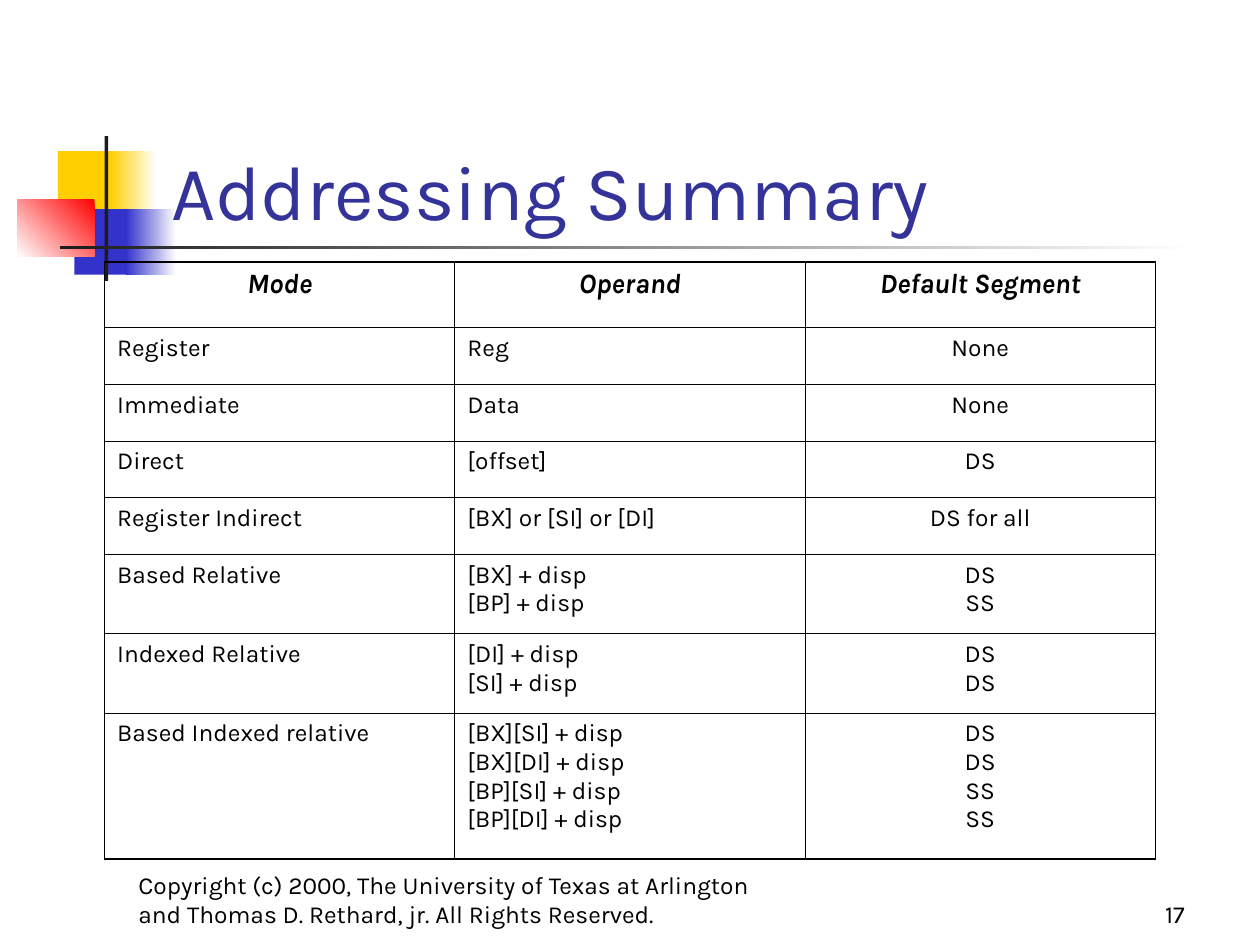
import pptx
import pptx.dml.color
import pptx.enum.shapes
import pptx.enum.text
import pptx.oxml
import pptx.oxml.ns
import pptx.util
from pptx.util import Inches, Pt

RGBColor = pptx.dml.color.RGBColor
PP_ALIGN = pptx.enum.text.PP_ALIGN
MSO_ANCHOR = pptx.enum.text.MSO_ANCHOR

WHITE = RGBColor(0xFF, 0xFF, 0xFF)
BLACK = RGBColor(0, 0, 0)
YELLOW = RGBColor(0xFF, 0xCF, 0x01)
BLUE = RGBColor(0x33, 0x33, 0xCC)
RED = RGBColor(0xFF, 0, 0)
CHARCOAL = RGBColor(0x1C, 0x1C, 0x1C)
TITLE_BLUE = RGBColor(0x33, 0x33, 0x99)
FONT = "Karla"
THIN, THICK = 0.45, 1.08

# left, top, width, height, colours (two make a gradient), counter-clockwise angle
ORNAMENTS = [
    (0.46, 1.2, 0.48, 0.52, [YELLOW], None),
    (0.88, 1.2, 0.36, 0.52, [WHITE, YELLOW], 180),
    (0.59, 1.66, 0.46, 0.52, [BLUE], None),
    (1, 1.66, 0.4, 0.52, [WHITE, BLUE], 180),
    (0.14, 1.58, 0.61, 0.46, [RED, WHITE], 225),
    (0.83, 1.08, 0.03, 1.15, [CHARCOAL], None),
    (0.48, 1.95, 9, 0.03, [WHITE, CHARCOAL], 180),
]

TITLE = "Addressing Summary"
COPYRIGHT = ("Copyright (c) 2000, The University of Texas at Arlington "
             "and Thomas D. Rethard, jr. All Rights Reserved.")
PAGE_NUMBER = "17"

# mode, operand lines, default segment lines
MODES = [
    ("Mode", ["Operand"], ["Default Segment"]),
    ("Register", ["Reg"], ["None"]),
    ("Immediate", ["Data"], ["None"]),
    ("Direct", ["[offset]"], ["DS"]),
    ("Register Indirect", ["[BX] or [SI] or [DI]"], ["DS for all"]),
    ("Based Relative", ["[BX] + disp", "[BP] + disp"], ["DS", "SS"]),
    ("Indexed Relative", ["[DI] + disp", "[SI] + disp"], ["DS", "DS"]),
    ("Based Indexed relative",
     ["[BX][SI] + disp", "[BX][DI] + disp", "[BP][SI] + disp", "[BP][DI] + disp"],
     ["DS", "DS", "SS", "SS"]),
]
HEADER_HEIGHT = 0.52
HEIGHT_BY_LINES = {1: 0.45, 2: 0.63, 4: 1.16}
COLUMN_WIDTH = 2.78


def style_text(frame, size, color, align):
    paragraph = frame.paragraphs[0]
    paragraph.alignment = align
    for run in paragraph.runs:
        run.font.name = FONT
        run.font.size = Pt(size)
        run.font.color.rgb = color
    return paragraph


def add_text(slide, text, box, size, color, align=PP_ALIGN.LEFT):
    frame = slide.shapes.add_textbox(*map(Inches, box)).text_frame
    frame.word_wrap = True
    frame.vertical_anchor = MSO_ANCHOR.BOTTOM
    frame.text = text
    style_text(frame, size, color, align)


def add_ornament(slide, left, top, width, height, colors, angle):
    ornament = slide.shapes.add_shape(
        pptx.enum.shapes.MSO_SHAPE.RECTANGLE,
        *map(Inches, (left, top, width, height)))
    ornament.shadow.inherit = False
    ornament.line.fill.background()
    if angle is None:
        ornament.fill.solid()
        ornament.fill.fore_color.rgb = colors[0]
        return
    ornament.fill.gradient()
    ornament.fill.gradient_angle = angle
    for stop, color, position in zip(ornament.fill.gradient_stops, colors, (0, 1)):
        stop.color.rgb = color
        stop.position = position


def set_borders(cell, widths):
    """Draw the left, right, top and bottom borders in the given point widths."""
    properties = cell._tc.get_or_add_tcPr()
    for place, (side, width) in enumerate(zip("LRTB", widths)):
        properties.insert(place, pptx.oxml.parse_xml(
            f'<a:ln{side} {pptx.oxml.ns.nsdecls("a")} w="{int(Pt(width))}">'
            f'<a:solidFill><a:srgbClr val="{BLACK}"/></a:solidFill></a:ln{side}>'))


def add_mode_table(slide):
    heights = [HEADER_HEIGHT] + [HEIGHT_BY_LINES[len(row[1])] for row in MODES[1:]]
    table = slide.shapes.add_table(
        len(MODES), 3, Inches(0.83), Inches(2.08),
        Inches(3 * COLUMN_WIDTH), Inches(sum(heights))).table
    table.first_row = table.horz_banding = False
    for column in table.columns:
        column.width = Inches(COLUMN_WIDTH)

    last_row = len(MODES) - 1
    for r, (mode, operands, segments) in enumerate(MODES):
        table.rows[r].height = Inches(heights[r])
        for c, lines in enumerate(([mode], operands, segments)):
            cell = table.cell(r, c)
            cell.text_frame.text = "\v".join(lines)
            header = r == 0
            centred = header or c == 2
            paragraph = style_text(cell.text_frame, 16 if header else 14, BLACK,
                                   PP_ALIGN.CENTER if centred else PP_ALIGN.LEFT)
            for run in paragraph.runs:
                run.font.bold = run.font.italic = header
            cell.fill.background()
            on_edge = (c == 0, c == 2, header, r == last_row)
            set_borders(cell, [THICK if edge else THIN for edge in on_edge])


def main():
    deck = pptx.Presentation()
    deck.slide_width, deck.slide_height = Inches(10), Inches(7.5)
    slide = deck.slides.add_slide(deck.slide_layouts[6])
    for ornament in ORNAMENTS:
        add_ornament(slide, *ornament)
    add_text(slide, TITLE, (1.26, 0.67, 8.52, 1.25), 44, TITLE_BLUE)
    add_mode_table(slide)
    add_text(slide, PAGE_NUMBER, (7.42, 6.92, 2.08, 0.5), 14, BLACK, PP_ALIGN.RIGHT)
    add_text(slide, COPYRIGHT, (1, 6.92, 5.42, 0.5), 14, BLACK)
    deck.save("out.pptx")


if __name__ == "__main__":
    main()
